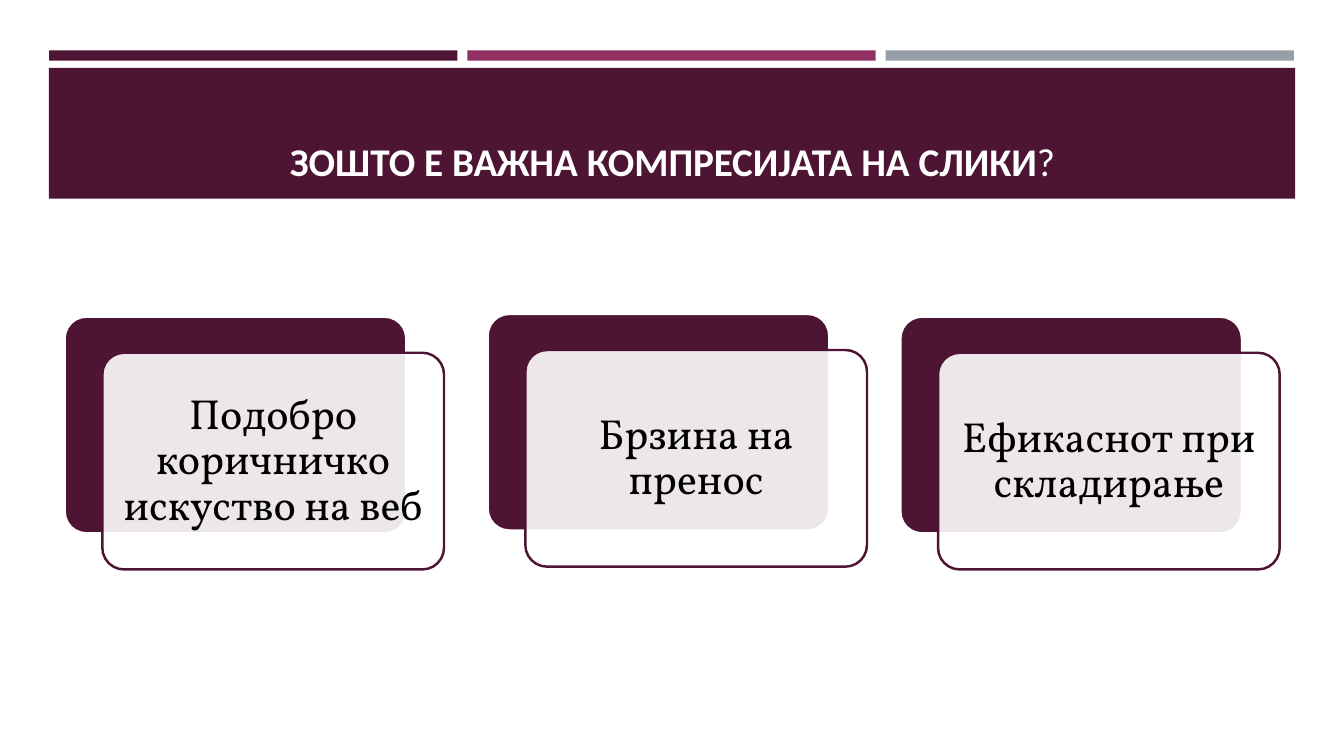
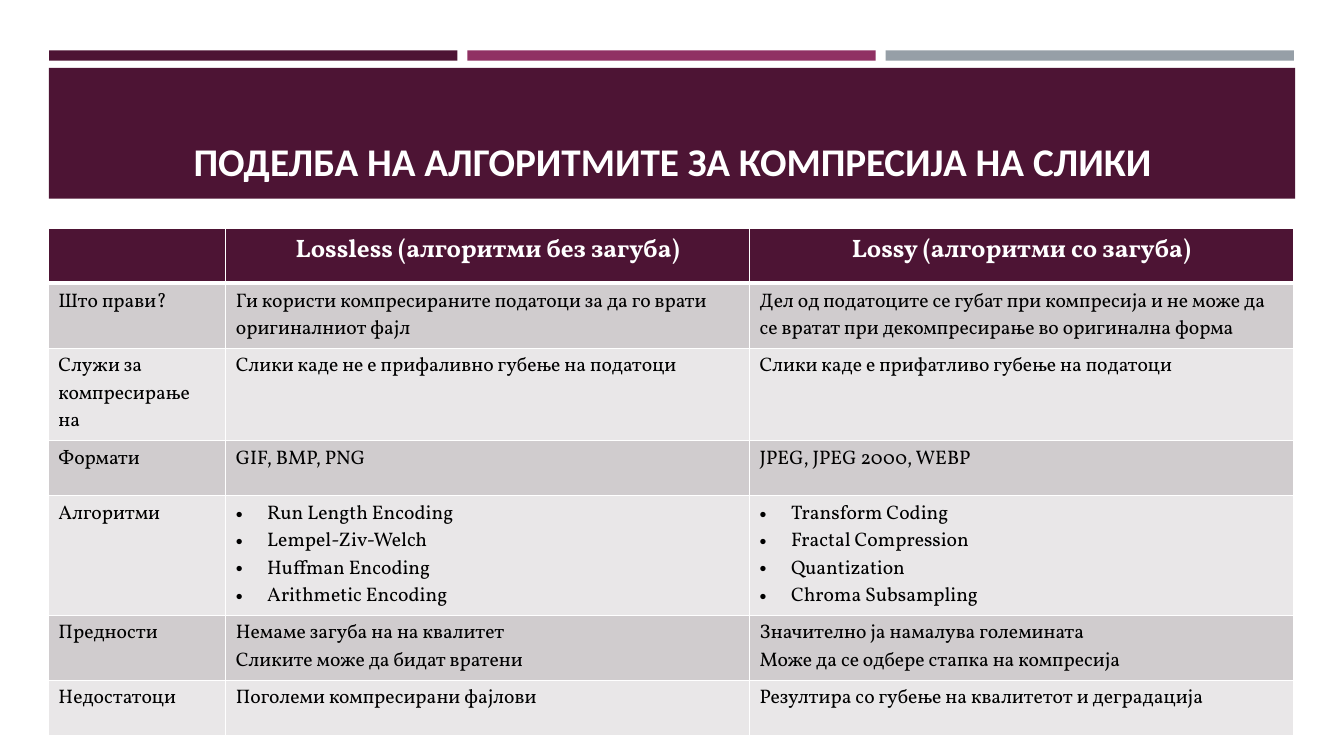
from dataclasses import dataclass

from lxml import etree
from pptx import Presentation
from pptx.dml.color import RGBColor
from pptx.enum.shapes import MSO_SHAPE
from pptx.enum.text import MSO_ANCHOR, PP_ALIGN
from pptx.oxml.ns import qn
from pptx.shapes.autoshape import Shape
from pptx.slide import Slide, SlideLayout
from pptx.table import _Cell
from pptx.text.text import _Paragraph
from pptx.util import Cm, Pt

RECTANGLE = MSO_SHAPE.RECTANGLE
ROUNDED = MSO_SHAPE.ROUNDED_RECTANGLE
MIDDLE = MSO_ANCHOR.MIDDLE
BOTTOM = MSO_ANCHOR.BOTTOM
LEFT = PP_ALIGN.LEFT
CENTER = PP_ALIGN.CENTER

PLUM = RGBColor(0x4D, 0x14, 0x34)
MAGENTA = RGBColor(0x90, 0x31, 0x63)
GREY = RGBColor(0x96, 0x9F, 0xA7)
DARK_ROW = RGBColor(0xD0, 0xCC, 0xCE)
LIGHT_ROW = RGBColor(0xE9, 0xE7, 0xE8)
WHITE = RGBColor(0xFF, 0xFF, 0xFF)
BLACK = RGBColor(0x00, 0x00, 0x00)

TITLE_FONT = "Calibri"
BODY_FONT = "Vollkorn"


@dataclass(frozen=True)
class Box:
    left: float
    top: float
    width: float
    height: float

    def lengths(self) -> tuple[Cm, Cm, Cm, Cm]:
        return Cm(self.left), Cm(self.top), Cm(self.width), Cm(self.height)


@dataclass(frozen=True)
class Card:
    left: float
    top: float
    text: str


TITLE_BOX = Box(1.63, 1.96, 30.63, 2.82)
TITLE_BAND = Box(1.23, 1.71, 31.41, 3.3)
STRIPE = Box(1.24, 1.27, 10.29, 0.26)
STRIPE_PITCH = 10.54
STRIPE_COLORS = (PLUM, MAGENTA, GREY)

CARD_WIDTH, CARD_HEIGHT = 8.61, 5.46
CARD_SHIFT_X, CARD_SHIFT_Y = 0.95, 0.91
CARD_INSET = Cm(0.3)
CARDS = (
    Card(1.63, 7.98, "Подобро коричничко искуство на веб"),
    Card(12.29, 7.91, "Брзина на пренос"),
    Card(22.69, 7.98, "Ефикаснот при складирање"),
)

TABLE_BOX = Box(1.22, 5.75, 31.37, 9.54)
COLUMN_WIDTHS = (4.47, 13.2, 13.7)
ROW_HEIGHTS = (1.39, 1.39, 1.14, 1.39, 1.39, 1.39, 1.39)
BULLET_INDENT = Cm(0.79)
ALGORITHM_ROW = 4
TABLE_ROWS = (
    ("", "Lossless (алгоритми без загуба)", "Lossy (алгоритми со загуба)"),
    (
        "Што прави?",
        "Ги користи компресираните податоци за да го врати оригиналниот фајл",
        "Дел од податоците се губат при компресија и не може да се вратат "
        "при декомпресирање во оригинална форма",
    ),
    (
        "Служи за компресирање на",
        "Слики каде не е прифаливно губење на податоци",
        "Слики каде е прифатливо губење на податоци",
    ),
    ("Формати", "GIF, BMP, PNG", "JPEG, JPEG 2000, WEBP"),
    (
        "Алгоритми",
        "Run Length Encoding\nLempel-Ziv-Welch\nHuffman Encoding\nArithmetic Encoding",
        "Transform Coding\nFractal Compression\nQuantization\nChroma Subsampling",
    ),
    (
        "Предности",
        "Немаме загуба на на квалитет\nСликите може да бидат вратени",
        "Значително ја намалува големината\nМоже да се одбере стапка на компресија",
    ),
    (
        "Недостатоци",
        "Поголеми компресирани фајлови",
        "Резултира со губење на квалитетот и деградација",
    ),
)


def write_text(
    paragraph: _Paragraph,
    text: str,
    *,
    size: int,
    color: RGBColor = BLACK,
    font: str = BODY_FONT,
    bold: bool = False,
    align: PP_ALIGN = LEFT,
) -> None:
    paragraph.alignment = align
    run = paragraph.add_run()
    run.text = text
    run.font.name = font
    run.font.size = Pt(size)
    run.font.bold = bold
    run.font.color.rgb = color


def add_panel(
    slide: Slide,
    kind: MSO_SHAPE,
    box: Box,
    fill: RGBColor,
    line: RGBColor | None = None,
) -> Shape:
    shape = slide.shapes.add_shape(kind, *box.lengths())
    shape.shadow.inherit = False
    shape.fill.solid()
    shape.fill.fore_color.rgb = fill
    if line is None:
        shape.line.fill.background()
    else:
        shape.line.color.rgb = line
        shape.line.width = Pt(1.75)
    if kind == ROUNDED:
        shape.adjustments[0] = 0.1
    return shape


def add_bands(slide: Slide, layout: SlideLayout) -> None:
    bands = [(TITLE_BAND, PLUM)]
    for index, color in enumerate(STRIPE_COLORS):
        left = STRIPE.left + index * STRIPE_PITCH
        bands.append((Box(left, STRIPE.top, STRIPE.width, STRIPE.height), color))
    for box, color in bands:
        shape = add_panel(slide, RECTANGLE, box, color)
        layout.shapes._spTree.append(shape._element)


def add_title(slide: Slide, text: str, ending: str = "") -> None:
    title = slide.shapes.title
    title.left, title.top, title.width, title.height = TITLE_BOX.lengths()
    frame = title.text_frame
    frame.vertical_anchor = BOTTOM
    for part, bold in ((text, True), (ending, False)):
        if part:
            write_text(
                frame.paragraphs[0], part, size=28, color=WHITE,
                font=TITLE_FONT, bold=bold, align=CENTER,
            )


def add_card(slide: Slide, card: Card) -> None:
    back = Box(card.left, card.top, CARD_WIDTH, CARD_HEIGHT)
    add_panel(slide, ROUNDED, back, PLUM, WHITE)
    front = Box(
        card.left + CARD_SHIFT_X, card.top + CARD_SHIFT_Y, CARD_WIDTH, CARD_HEIGHT
    )
    shape = add_panel(slide, ROUNDED, front, WHITE, PLUM)
    color = shape._element.spPr.find(qn("a:solidFill"))[0]
    etree.SubElement(color, qn("a:alpha"), val="90000")
    frame = shape.text_frame
    frame.word_wrap = True
    frame.vertical_anchor = MIDDLE
    frame.margin_left = frame.margin_right = CARD_INSET
    frame.margin_top = frame.margin_bottom = CARD_INSET
    paragraph = frame.paragraphs[0]
    paragraph.line_spacing = 0.9
    write_text(paragraph, card.text, size=30, align=CENTER)


def set_borders(cell: _Cell, top: int, bottom: int) -> None:
    properties = cell._tc.get_or_add_tcPr()
    widths = {"a:lnL": 1, "a:lnR": 1, "a:lnT": top, "a:lnB": bottom}
    for index, (tag, width) in enumerate(widths.items()):
        line = etree.Element(qn(tag), w=str(Pt(width)))
        fill = etree.SubElement(line, qn("a:solidFill"))
        etree.SubElement(fill, qn("a:srgbClr"), val=str(WHITE))
        properties.insert(index, line)


def add_bullet(paragraph: _Paragraph) -> None:
    properties = paragraph._p.get_or_add_pPr()
    properties.set("marL", str(BULLET_INDENT))
    properties.set("indent", str(-BULLET_INDENT))
    etree.SubElement(properties, qn("a:buFont"), typeface="Arial")
    etree.SubElement(properties, qn("a:buChar"), char="•")


def fill_cell(cell: _Cell, text: str, row: int, column: int) -> None:
    header = row == 0
    cell.fill.solid()
    cell.fill.fore_color.rgb = PLUM if header else DARK_ROW if row % 2 else LIGHT_ROW
    set_borders(cell, top=3 if row == 1 else 1, bottom=3 if header else 1)
    if not text:
        return
    frame = cell.text_frame
    for index, line in enumerate(text.split("\n")):
        paragraph = frame.add_paragraph() if index else frame.paragraphs[0]
        write_text(
            paragraph, line, size=18 if header else 14, bold=header,
            color=WHITE if header else BLACK, align=CENTER if header else LEFT,
        )
        if row == ALGORITHM_ROW and column:
            add_bullet(paragraph)


def add_comparison(slide: Slide) -> None:
    table = slide.shapes.add_table(
        len(ROW_HEIGHTS), len(COLUMN_WIDTHS), *TABLE_BOX.lengths()
    ).table
    for column, width in zip(table.columns, COLUMN_WIDTHS):
        column.width = Cm(width)
    for row, height in zip(table.rows, ROW_HEIGHTS):
        row.height = Cm(height)
    for row_index, texts in enumerate(TABLE_ROWS):
        for column_index, text in enumerate(texts):
            cell = table.cell(row_index, column_index)
            fill_cell(cell, text, row_index, column_index)


def main() -> None:
    presentation = Presentation()
    presentation.slide_width = Cm(33.87)
    presentation.slide_height = Cm(19.05)
    layout = presentation.slide_layouts.get_by_name("Title Only")

    importance = presentation.slides.add_slide(layout)
    add_bands(importance, layout)
    add_title(importance, "ЗОШТО Е ВАЖНА КОМПРЕСИЈАТА НА СЛИКИ", "?")
    for card in CARDS:
        add_card(importance, card)

    division = presentation.slides.add_slide(layout)
    add_title(division, "ПОДЕЛБА НА АЛГОРИТМИТЕ ЗА КОМПРЕСИЈА НА СЛИКИ")
    add_comparison(division)

    presentation.save("out.pptx")


if __name__ == "__main__":
    main()
